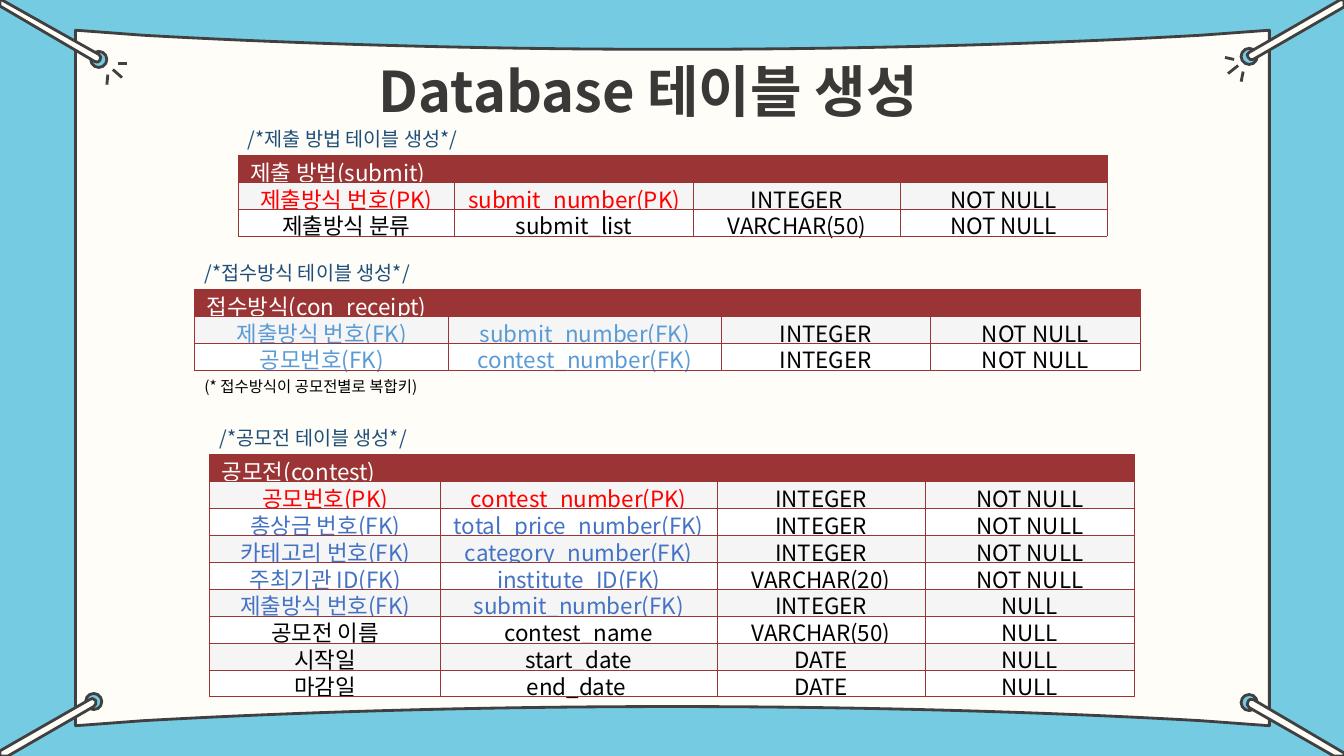
from dataclasses import dataclass

from lxml.etree import SubElement
from pptx import Presentation
from pptx.dml.color import RGBColor
from pptx.enum.shapes import MSO_CONNECTOR, MSO_SHAPE
from pptx.enum.text import MSO_ANCHOR, MSO_AUTO_SIZE, PP_ALIGN
from pptx.oxml.ns import qn
from pptx.util import Inches, Pt


@dataclass(frozen=True)
class Theme:
    font: str = "Noto Sans CJK KR"
    sky: str = "75CBE2"
    paper: str = "FEFDF8"
    ink: str = "404040"
    title: str = "3B3838"
    caption: str = "1F4E79"
    header: str = "9B3434"
    stripe: str = "F5F5F5"
    white: str = "FFFFFF"
    black: str = "000000"
    primary_key: str = "FF0000"
    foreign_key: str = "4472C4"
    light_foreign_key: str = "5B9BD5"
    title_size: int = 40
    cell_size: int = 16
    caption_size: int = 14
    note_size: int = 11
    outline: float = 2
    border: float = 0.5


class SlideBuilder:
    def __init__(self, slide, theme):
        self.s = slide
        self.theme = theme
        slide.background.fill.solid()
        slide.background.fill.fore_color.rgb = RGBColor.from_string(theme.sky)

    def style_paragraph(self, p, size, color, align=PP_ALIGN.LEFT, bold=False):
        p.alignment = align
        p.font.size = Pt(size)
        p.font.bold = bold
        p.font.name = self.theme.font
        p.font.color.rgb = RGBColor.from_string(color)
        props = p._p.pPr.find(qn("a:defRPr"))
        SubElement(props, qn("a:ea"), typeface=self.theme.font)

    def style_line(self, line):
        line.color.rgb = RGBColor.from_string(self.theme.ink)
        line.width = Pt(self.theme.outline)

    def style_shape(self, sp, fill):
        sp.shadow.inherit = False
        sp.fill.solid()
        sp.fill.fore_color.rgb = RGBColor.from_string(fill)
        self.style_line(sp.line)

    def outline(self, start, *parts):
        """Closed paper shape; a part is a point or three curve points."""
        groups = [part if len(part) == 3 else (part,) for part in parts]
        points = [(Inches(x), Inches(y)) for group in groups for x, y in group]
        builder = self.s.shapes.build_freeform(*map(Inches, start))
        builder.add_line_segments(points, close=True)
        sp = builder.convert_to_shape()
        segments = iter(list(sp._element.iter(qn("a:lnTo"))))
        for group in groups:
            first, *others = [next(segments) for _ in group]
            if others:
                first.tag = qn("a:cubicBezTo")
            for segment in others:
                first.append(segment[0])
                segment.getparent().remove(segment)
        self.style_shape(sp, self.theme.paper)

    def eyelet(self, x, y, size=0.16):
        sp = self.s.shapes.add_shape(MSO_SHAPE.OVAL, Inches(x), Inches(y),
                                     Inches(size), Inches(size))
        self.style_shape(sp, self.theme.sky)

    def spark(self, *ends):
        line = self.s.shapes.add_connector(MSO_CONNECTOR.STRAIGHT,
                                           *[Inches(v) for v in ends])
        self.style_line(line.line)
        SubElement(line._element.spPr, qn("a:effectLst"))

    def title(self, text, x, y, w, h):
        sp = self.s.shapes.title
        sp.left, sp.top, sp.width, sp.height = map(Inches, (x, y, w, h))
        tf = sp.text_frame
        tf.auto_size = MSO_AUTO_SIZE.NONE
        tf.vertical_anchor = MSO_ANCHOR.MIDDLE
        tf.margin_right = Inches(0.57)
        tf.text = text
        self.style_paragraph(tf.paragraphs[0], self.theme.title_size,
                             self.theme.title, PP_ALIGN.CENTER, True)
        self.s.shapes._spTree.append(sp._element)

    def text(self, text, x, y, w, h, size, color):
        tf = self.s.shapes.add_textbox(*map(Inches, (x, y, w, h))).text_frame
        tf.word_wrap = True
        tf.text = text
        self.style_paragraph(tf.paragraphs[0], size, color)

    def cell(self, cell, text, fill, color, align=PP_ALIGN.CENTER, indent=0):
        cell.margin_left = Inches(indent)
        cell.margin_right = cell.margin_top = cell.margin_bottom = 0
        cell.vertical_anchor = MSO_ANCHOR.MIDDLE
        for side in ("a:lnL", "a:lnR", "a:lnT", "a:lnB"):
            ln = SubElement(cell._tc.tcPr, qn(side),
                            w=str(Pt(self.theme.border)))
            solid = SubElement(ln, qn("a:solidFill"))
            SubElement(solid, qn("a:srgbClr"), val=self.theme.header)
        cell.fill.solid()
        cell.fill.fore_color.rgb = RGBColor.from_string(fill)
        if text:
            cell.text = text
            self.style_paragraph(cell.text_frame.paragraphs[0],
                                 self.theme.cell_size, color, align)

    def table(self, heading, rows, x, y, widths, foreign_key):
        t = self.theme
        height = Inches(0.8 * (len(rows) + 1) / 3)
        frame = self.s.shapes.add_table(len(rows) + 1, len(widths), Inches(x),
                                        Inches(y), Inches(sum(widths)), height)
        table = frame.table
        for column, width in zip(table.columns, widths):
            column.width = Inches(width)
        # Rows share the frame height evenly, tighter than the text needs.
        for row in table.rows:
            row.height = 0
        frame.height = height
        for c in range(len(widths)):
            self.cell(table.cell(0, c), "" if c else heading, t.header,
                      t.white, PP_ALIGN.LEFT, 0.12)
        table.cell(0, 0).merge(table.cell(0, len(widths) - 1))
        key_colors = {"(PK)": t.primary_key, "(FK)": foreign_key}
        for r, values in enumerate(rows, 1):
            for c, value in enumerate(values):
                self.cell(table.cell(r, c), value,
                          t.stripe if r % 2 else t.white,
                          key_colors.get(value[-4:], t.black))


ROPES = [
    ((0.9, 0.51), [(0, 0), (0.02, 0), (0.98, 0.54),
                   ((1, 0.55), (1.01, 0.58), (0.99, 0.6)),
                   ((0.98, 0.62), (0.96, 0.62), (0.94, 0.61)), (0, 0.06)]),
    ((0.85, 6.88), [(0.92, 6.93), ((0.93, 6.94), (0.94, 6.94), (0.95, 6.95)),
                    ((0.96, 6.97), (0.95, 7), (0.93, 7.01)), (0.08, 7.5),
                    (0, 7.5), (0, 7.45), (0.89, 6.94),
                    ((0.9, 6.93), (0.91, 6.93), (0.92, 6.93))]),
    ((12.31, 0.48), [(13.29, 0), (13.33, 0), (13.33, 0.07), (12.43, 0.59),
                     ((12.41, 0.6), (12.39, 0.59), (12.38, 0.57)),
                     ((12.36, 0.55), (12.37, 0.53), (12.39, 0.52))]),
    ((12.31, 6.89), [(12.4, 6.94), ((12.41, 6.94), (12.42, 6.94), (12.43, 6.94)),
                     (13.33, 7.47), (13.33, 7.5), (13.23, 7.5), (12.39, 7.02),
                     ((12.37, 7), (12.36, 6.98), (12.38, 6.96)),
                     ((12.38, 6.95), (12.39, 6.94), (12.4, 6.94))]),
]
SPARKS = [(12.28, 0.65, 12.18, 0.73), (12.33, 0.71, 12.31, 0.81),
          (12.24, 0.59, 12.15, 0.57), (1.12, 0.69, 1.21, 0.77),
          (1.17, 0.63, 1.26, 0.63), (1.07, 0.74, 1.06, 0.84)]
SUBMIT = [("제출방식 번호(PK)", "submit_number(PK)", "INTEGER", "NOT NULL"),
          ("제출방식 분류", "submit_list", "VARCHAR(50)", "NOT NULL")]
RECEIPT = [("제출방식 번호(FK)", "submit_number(FK)", "INTEGER", "NOT NULL"),
           ("공모번호(FK)", "contest_number(FK)", "INTEGER", "NOT NULL")]
CONTEST = [("공모번호(PK)", "contest_number(PK)", "INTEGER", "NOT NULL"),
           ("총상금 번호(FK)", "total_price_number(FK)", "INTEGER", "NOT NULL"),
           ("카테고리 번호(FK)", "category_number(FK)", "INTEGER", "NOT NULL"),
           ("주최기관 ID(FK)", "institute_ID(FK)", "VARCHAR(20)", "NOT NULL"),
           ("제출방식 번호(FK)", "submit_number(FK)", "INTEGER", "NULL"),
           ("공모전 이름", "contest_name", "VARCHAR(50)", "NULL"),
           ("시작일", "start_date", "DATE", "NULL"),
           ("마감일", "end_date ", "DATE", "NULL")]


def main():
    prs = Presentation()
    prs.slide_width, prs.slide_height = Inches(13.33), Inches(7.5)
    t = Theme()
    b = SlideBuilder(prs.slides.add_slide(prs.slide_layouts[5]), t)
    b.outline((12.59, 0.3), (12.59, 7.2), (11.91, 7.15),
              ((10.31, 7.06), (8.51, 7.01), (6.67, 7.01)),
              ((4.83, 7.01), (3.02, 7.06), (1.42, 7.15)),
              (0.75, 7.2), (0.75, 0.3), (1.42, 0.35),
              ((3.02, 0.44), (4.83, 0.49), (6.67, 0.49)),
              ((8.51, 0.49), (10.31, 0.44), (11.91, 0.35)))
    for eyelet, rope in ROPES:
        b.eyelet(*eyelet)
        b.outline(*rope)
    for ends in SPARKS:
        b.spark(*ends)
    b.title("Database 테이블 생성", 3.56, 0.51, 6.21, 0.77)
    for name, name_width, heading, rows, x, y, widths, foreign_key in [
        ("제출 방법", 2.52, "제출 방법(submit)", SUBMIT, 2.36, 1.54,
         (2.15, 2.37, 2.05, 2.05), t.foreign_key),
        ("공모전", 2.26, "공모전(contest)", CONTEST, 2.08, 4.51,
         (2.29, 2.74, 2.07, 2.07), t.foreign_key),
        ("접수방식", 2.46, "접수방식(con_receipt)", RECEIPT, 1.93, 2.87,
         (2.52, 2.7, 2.08, 2.08), t.light_foreign_key),
    ]:
        b.text(f"/*{name} 테이블 생성*/", x, y - 0.33, name_width, 0.34,
               t.caption_size, t.caption)
        b.table(heading, rows, x, y, widths, foreign_key)
    b.text("(* 접수방식이 공모전별로 복합키)", 1.93, 3.69, 2.53, 0.29,
           t.note_size, t.black)
    prs.save("out.pptx")


if __name__ == "__main__":
    main()
